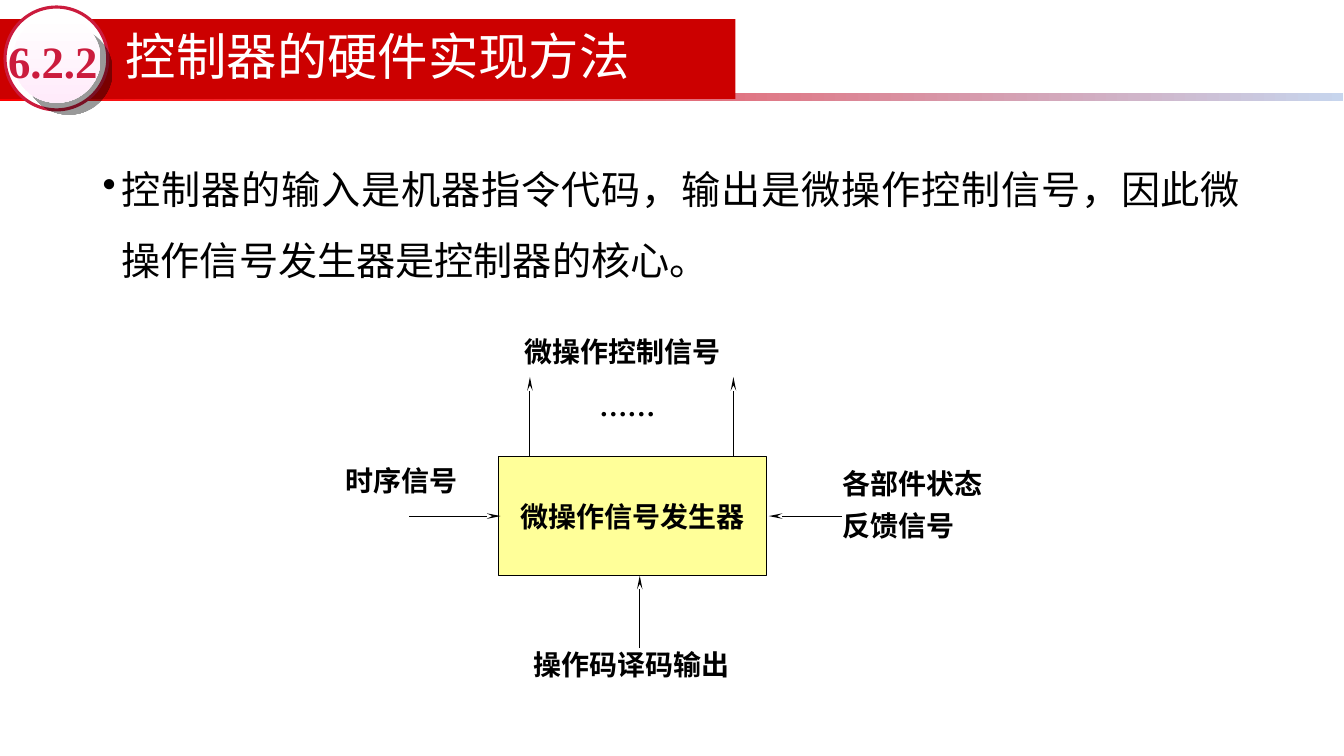
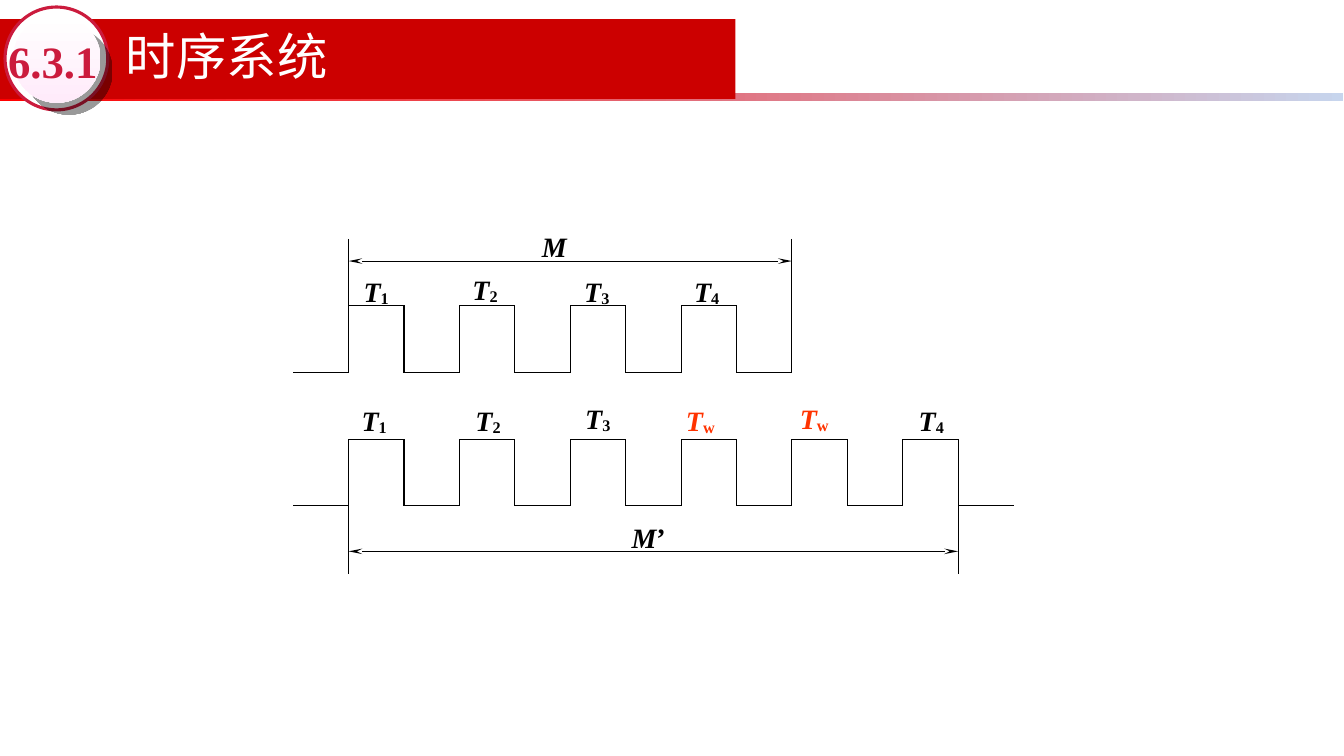
from dataclasses import dataclass

from lxml import etree
from pptx import Presentation
from pptx.dml.color import RGBColor
from pptx.enum.shapes import MSO_CONNECTOR, MSO_SHAPE
from pptx.enum.text import MSO_ANCHOR, MSO_AUTO_SIZE, PP_ALIGN
from pptx.oxml import parse_xml
from pptx.oxml.ns import nsdecls, qn
from pptx.util import Emu, Pt

PX = 9144
RECTANGLE, ELLIPSE = MSO_SHAPE.RECTANGLE, MSO_SHAPE.OVAL
STRAIGHT = MSO_CONNECTOR.STRAIGHT
TOP, MIDDLE = MSO_ANCHOR.TOP, MSO_ANCHOR.MIDDLE
LEFT, CENTER, JUSTIFY = PP_ALIGN.LEFT, PP_ALIGN.CENTER, PP_ALIGN.JUSTIFY
NO_AUTOFIT = MSO_AUTO_SIZE.NONE


@dataclass(frozen=True)
class Theme:
    """Colours, fonts and type sizes of the presentation."""
    black: str = "000000"
    white: str = "FFFFFF"
    band: str = "CC0000"
    rule_start: str = "FF0000"
    rule_end: str = "C7D5ED"
    badge: str = "CB1B3D"
    badge_tint: str = "FFEBFA"
    block: str = "FFFF99"
    wait: str = "FF3300"
    sans: str = "Noto Sans CJK SC"
    serif: str = "Times New Roman"
    title_size: int = 36
    badge_size: int = 32
    body_size: int = 28
    label_size: int = 20
    line_width: float = 0.75


THEME = Theme()


def px(*lengths):
    """Turn px lengths into EMU."""
    return [Emu(length * PX) for length in lengths]


def set_font(paragraph, size, color, name=THEME.serif, bold=None):
    """Format a whole paragraph, with the CJK face set alongside the Latin one."""
    font = paragraph.font
    font.size, font.bold, font.name = Pt(size), bold, name
    font.color.rgb = RGBColor.from_string(color)
    defaults = paragraph._p.pPr.find(qn("a:defRPr"))
    etree.SubElement(defaults, qn("a:ea")).set("typeface", THEME.sans)


def set_gradient(fill, start, end, angle):
    """Fill with a two-stop linear gradient."""
    fill.gradient()
    fill.gradient_angle = angle
    for stop, color, position in zip(fill.gradient_stops, (start, end), (0, 1)):
        stop.color.rgb = RGBColor.from_string(color)
        stop.position = position


def add_shape(slide, kind, box, fill=None, line=None, width=THEME.line_width):
    """Add a preset shape without shadow."""
    shape = slide.shapes.add_shape(kind, *px(*box))
    shape.shadow.inherit = False
    if fill:
        shape.fill.solid()
        shape.fill.fore_color.rgb = RGBColor.from_string(fill)
    if line:
        shape.line.color.rgb = RGBColor.from_string(line)
        shape.line.width = Pt(width)
    else:
        shape.line.fill.background()
    return shape


def add_line(slide, start, end, heads=()):
    """Add a thin line with stealth arrowheads at the named ends."""
    connector = slide.shapes.add_connector(STRAIGHT, *px(*start, *end))
    connector.line.color.rgb = RGBColor.from_string(THEME.black)
    connector.line.width = Pt(THEME.line_width)
    outline = connector.line._get_or_add_ln()
    for head in heads:
        arrow = etree.SubElement(outline, qn(f"a:{head}"))
        for key, value in (("type", "stealth"), ("w", "sm"), ("len", "lg")):
            arrow.set(key, value)
    etree.SubElement(connector.element.spPr, qn("a:effectLst"))


def add_text_frame(slide, box, anchor=TOP):
    """Add a wrapping text box and return its frame."""
    frame = slide.shapes.add_textbox(*px(*box)).text_frame
    frame.word_wrap, frame.vertical_anchor = True, anchor
    return frame


def add_label(slide, box, *lines):
    """Add a bold diagram label of one or more lines."""
    frame = add_text_frame(slide, box)
    for index, line in enumerate(lines):
        paragraph = frame.add_paragraph() if index else frame.paragraphs[0]
        paragraph.text = line
        if index:
            paragraph.space_before, paragraph.line_spacing = Pt(12.5), 0.7
        set_font(paragraph, THEME.label_size, THEME.black, bold=True)


def add_symbol(slide, box, letter, suffix="", color=THEME.black, lowered=True):
    """Add an italic letter followed by an upright suffix."""
    paragraph = add_text_frame(slide, box).paragraphs[0]
    set_font(paragraph, THEME.label_size, color, bold=True)
    run = paragraph.add_run()
    run.text, run.font.italic = letter, True
    if suffix:
        run = paragraph.add_run()
        run.text, run.font.italic = suffix, False
        if lowered:
            run._r.get_or_add_rPr().set("baseline", "-10000")


def decorate_layout(slide, layout):
    """Draw the band and badge once and hand them to the layout."""
    rule = add_shape(slide, RECTANGLE, (0, 92, 1333, 8))
    set_gradient(rule.fill, THEME.rule_start, THEME.rule_end, 0)
    band = add_shape(slide, RECTANGLE, (0, 19, 730, 79), THEME.band)
    ring = add_shape(slide, ELLIPSE, (5, 7, 102, 102), THEME.white, THEME.badge, 2.25)
    disc = add_shape(slide, ELLIPSE, (13, 15, 87, 87))
    set_gradient(disc.fill, THEME.white, THEME.badge_tint, 270)
    disc.element.spPr.find(qn("a:effectLst")).append(parse_xml(
        f'<a:outerShdw {nsdecls("a")} dist="153670" dir="2700000" algn="ctr" rotWithShape="0">'
        f'<a:srgbClr val="{THEME.black}"><a:alpha val="40000"/></a:srgbClr></a:outerShdw>'))
    layout_title = layout.placeholders[0].element
    for identifier, shape in enumerate((rule, band, ring, disc), 20):
        shape.element.nvSpPr.cNvPr.set("id", str(identifier))
        layout_title.addprevious(shape.element)


def add_heading(slide, number, text):
    """Fill the title placeholder and the section number in the badge."""
    title = slide.shapes.title
    title.left, title.top, title.width, title.height = px(115, 18, 744, 82)
    frame = title.text_frame
    frame.text = text
    frame.auto_size, frame.vertical_anchor = NO_AUTOFIT, MIDDLE
    paragraph = frame.paragraphs[0]
    paragraph.alignment, paragraph.line_spacing = LEFT, 0.9
    set_font(paragraph, THEME.title_size, THEME.white, THEME.sans)
    frame = add_text_frame(slide, (8, 33, 93, 54), MIDDLE)
    frame.margin_left = frame.margin_right = frame.margin_top = frame.margin_bottom = 0
    frame.text = number
    set_font(frame.paragraphs[0], THEME.badge_size, THEME.badge, bold=True)


def add_bullet(slide, box, text):
    """Add a justified bulleted paragraph."""
    paragraph = add_text_frame(slide, box).paragraphs[0]
    paragraph.text = text
    paragraph.alignment, paragraph.line_spacing = JUSTIFY, 1.5
    properties = paragraph._p.get_or_add_pPr()
    properties.set("marL", str(19 * PX))
    properties.set("indent", str(-19 * PX))
    color = etree.SubElement(properties, qn("a:buClr"))
    etree.SubElement(color, qn("a:srgbClr")).set("val", THEME.black)
    etree.SubElement(properties, qn("a:buChar")).set("char", "•")
    set_font(paragraph, THEME.body_size, THEME.black, THEME.sans)


def add_generator_diagram(slide, box):
    """Draw the signal generator with its inputs and outputs around the box."""
    left, top, width, height = box
    right, bottom, middle = left + width, top + height, top + 59
    frame = add_shape(slide, RECTANGLE, box, THEME.block, THEME.black).text_frame
    frame.word_wrap, frame.vertical_anchor = False, MIDDLE
    frame.text = "微操作信号发生器"
    frame.paragraphs[0].alignment = CENTER
    set_font(frame.paragraphs[0], THEME.label_size, THEME.black, bold=True)
    arrows = (
        ((left - 89, middle), (left + 2, middle)),
        ((right + 75, middle), (right + 2, middle)),
        ((left + 140, bottom + 72), (left + 140, bottom)),
        ((left + 31, top), (left + 31, top - 79)),
        ((right - 33, top), (right - 33, top - 79)),
    )
    for start, end in arrows:
        add_line(slide, start, end, ("tailEnd",))
    add_label(slide, (left + 25, bottom + 66, 309, 44), "操作码译码输出")
    add_label(slide, (left + 16, top - 126, 291, 44), "微操作控制信号")
    add_label(slide, (left - 162, top + 2, 200, 44), "时序信号")
    add_label(slide, (right + 65, top + 5, 173, 84), "各部件状态", "反馈信号")
    add_label(slide, (left + 90, top - 72, 273, 44), "……")


def add_waveform(slide, box, last_edge, marker, arrow_y, labels):
    """Draw a pulse train in the box, with a measured span up to its last edge."""
    left, top, width, height = box
    step, bottom = 55, top + height
    for edge in range(-1, width // step):
        x, y = left + edge * step, bottom if edge % 2 else top
        add_line(slide, (x, y), (x + step, y))
    for edge in range(last_edge + 1):
        x = left + edge * step
        low, high = marker if edge in (0, last_edge) else (top, bottom)
        add_line(slide, (x, low), (x, high))
    add_line(slide, (left, arrow_y), (left + last_edge * step, arrow_y),
             ("headEnd", "tailEnd"))
    for x, y, suffix in labels:
        color = THEME.wait if suffix == "w" else THEME.black
        add_symbol(slide, (left + x, top + y, 165, 44), "T", suffix, color)


def main():
    """Build and save the presentation."""
    presentation = Presentation()
    presentation.slide_width, presentation.slide_height = px(1334, 750)
    layout = presentation.slide_layouts[5]

    slide = presentation.slides.add_slide(layout)
    decorate_layout(slide, layout)
    add_heading(slide, "6.2.2", "控制器的硬件实现方法")
    add_bullet(slide, (92, 136, 1150, 544),
               "控制器的输入是机器指令代码，输出是微操作控制信号，因此微操作信号发生器是控制器的核心。")
    add_generator_diagram(slide, (495, 453, 266, 118))

    slide = presentation.slides.add_slide(layout)
    add_heading(slide, "6.3.1", "时序系统")
    add_waveform(slide, (346, 303, 440, 67), 8, (237, 370), 259,
                 ((5, -36, "1"), (113, -38, "2"), (224, -36, "3"), (333, -36, "4")))
    add_waveform(slide, (346, 436, 660, 66), 11, (436, 569), 547,
                 ((3, -41, "1"), (116, -41, "2"), (225, -43, "3"),
                  (325, -41, "w"), (438, -43, "w"), (556, -41, "4")))
    add_symbol(slide, (528, 223, 248, 44), "M")
    add_symbol(slide, (617, 511, 248, 44), "M", "’", lowered=False)
    presentation.save("out.pptx")


if __name__ == "__main__":
    main()
